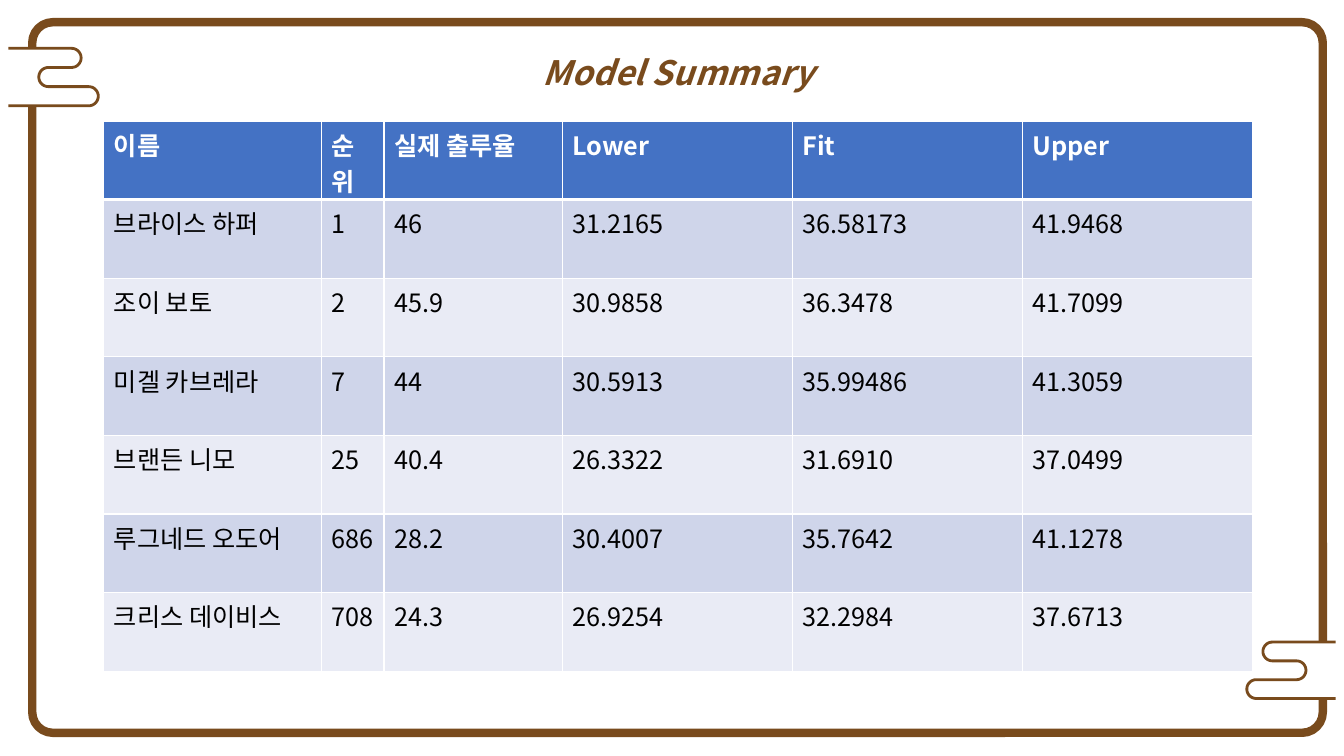
import math

from lxml import etree
from pptx import Presentation
from pptx import util as u
from pptx.dml.color import RGBColor
from pptx.enum import shapes, text
from pptx.oxml.ns import qn

BROWN = RGBColor(0x79, 0x4B, 0x1D)
WHITE = RGBColor(0xFF, 0xFF, 0xFF)
BLACK = RGBColor(0x00, 0x00, 0x00)
BLUE = RGBColor(0x44, 0x72, 0xC4)
BANDS = (RGBColor(0xE9, 0xEB, 0xF5), RGBColor(0xCF, 0xD5, 0xEA))
FONT = "Noto Sans CJK KR"
SCALE = 9144

ROWS = [
    ("이름", "순위", "실제 출루율", "Lower", "Fit", "Upper"),
    ("브라이스 하퍼", "1", "46", "31.2165", "36.58173", "41.9468"),
    ("조이 보토", "2", "45.9", "30.9858", "36.3478", "41.7099"),
    ("미겔 카브레라", "7", "44", "30.5913", "35.99486", "41.3059"),
    ("브랜든 니모", "25", "40.4", "26.3322", "31.6910", "37.0499"),
    ("루그네드 오도어", "686", "28.2", "30.4007", "35.7642", "41.1278"),
    ("크리스 데이비스", "708", "24.3", "26.9254", "32.2984", "37.6713"),
]


def px(n):
    return u.Emu(round(n * SCALE))


class Slide:
    """Draws styled elements on one slide, with lengths in px."""

    def __init__(self, deck):
        self.page = deck.slides.add_slide(deck.slide_layouts[6])
        self.shapes = self.page.shapes

    def paint(self, shape, fill=None, line=None, width=0):
        shape.shadow.inherit = False
        if fill is None:
            shape.fill.background()
        else:
            shape.fill.solid()
            shape.fill.fore_color.rgb = fill
        if line is None:
            shape.line.fill.background()
        else:
            shape.line.color.rgb = line
            shape.line.width = u.Pt(width)

    def box(self, kind, rect, adjust, **style):
        shape = self.shapes.add_shape(kind, *map(px, rect))
        shape.adjustments[0] = adjust
        self.paint(shape, **style)

    def clip(self, edge, top, height, ends, side):
        radius = height / len(ends) / 2
        points = [(edge, top)]
        for i, end in enumerate(ends):
            turn = side * (-1) ** i
            middle = top + radius * (2 * i + 1)
            for deg in range(-90, 91, 10):
                angle = math.radians(deg)
                points.append((end + turn * radius * math.cos(angle),
                               middle + radius * math.sin(angle)))
        points.append((edge, top + height))
        first, *rest = [(px(x), px(y)) for x, y in points]
        pen = self.shapes.build_freeform(*first, scale=1.0)
        pen.add_line_segments(rest, close=True)
        self.paint(pen.convert_to_shape(), WHITE, BROWN, 2)

    def label(self, para, words, size, color, bold=False, italic=False):
        run = para.add_run()
        run.text = words
        font = run.font
        font.size, font.bold, font.italic = u.Pt(size), bold, italic
        font.color.rgb = color
        font.name = FONT
        etree.SubElement(run._r.get_or_add_rPr(), qn("a:ea"), typeface=FONT)

    def title(self, words, rect):
        frame = self.shapes.add_textbox(*map(px, rect)).text_frame
        frame.word_wrap = True
        frame.auto_size = text.MSO_AUTO_SIZE.SHAPE_TO_FIT_TEXT
        para = frame.paragraphs[0]
        para.alignment = text.PP_ALIGN.CENTER
        para.line_spacing = 1.5
        self.label(para, words, 24, BROWN, bold=True, italic=True)

    def border(self, cell, **widths):
        props = cell._tc.get_or_add_tcPr()
        for side in "LRTB":
            line = etree.SubElement(props, qn("a:ln" + side),
                                    w=str(u.Pt(widths.get(side, 1))))
            fill = etree.SubElement(line, qn("a:solidFill"))
            etree.SubElement(fill, qn("a:srgbClr"), val=str(WHITE))

    def table(self, rows, left, top, widths, height):
        size = (sum(widths), height * len(rows))
        grid = self.shapes.add_table(len(rows), len(widths), px(left), px(top),
                                     *map(px, size)).table
        for col, width in zip(grid.columns, widths):
            col.width = px(width)
        for i, row in enumerate(rows):
            grid.rows[i].height = px(height)
            head = i == 0
            for j, words in enumerate(row):
                cell = grid.cell(i, j)
                self.border(cell, B=3 if head else 1, T=3 if i == 1 else 1)
                cell.fill.solid()
                cell.fill.fore_color.rgb = BLUE if head else BANDS[i % 2]
                self.label(cell.text_frame.paragraphs[0], words, 18,
                           WHITE if head else BLACK, bold=head)


def main():
    deck = Presentation()
    deck.slide_width, deck.slide_height = px(1333), px(750)
    page = Slide(deck)
    kinds = shapes.MSO_SHAPE
    page.box(kinds.ROUNDED_RECTANGLE, (32, 22, 1280, 705), 0.029,
             line=BROWN, width=6)
    page.clip(1, 48, 57, (71, 48, 88), 1)
    page.clip(1331, 637, 56, (1262, 1286, 1246), -1)
    page.box(kinds.FRAME, (0, 0, 1333, 750), 0.011, fill=WHITE)
    page.title("Model Summary", (295, 27, 755, 63))
    page.table(ROWS, 103, 120, (216, 62, 177, 228, 228, 228), 78)
    deck.save("out.pptx")


if __name__ == "__main__":
    main()
